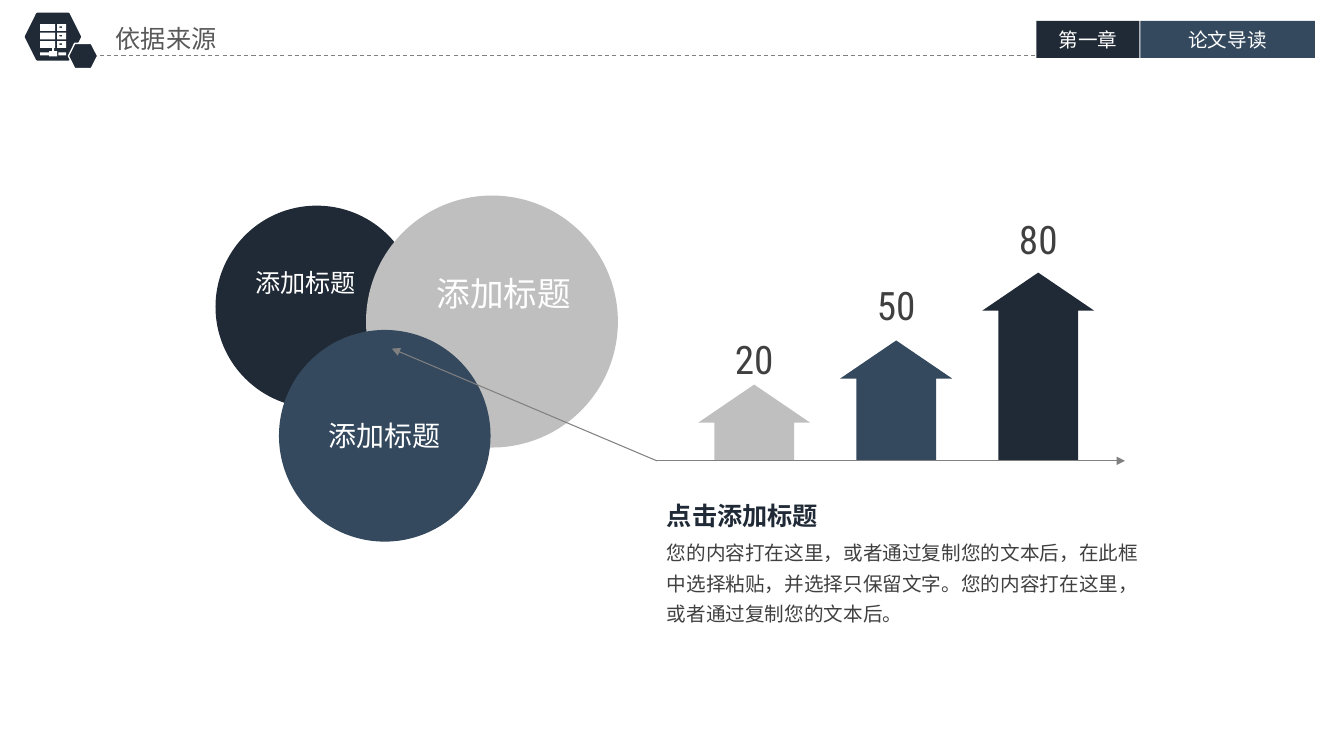
from dataclasses import dataclass

from lxml import etree
from pptx import Presentation
from pptx.dml.color import RGBColor
from pptx.enum import dml, shapes, text
from pptx.oxml import ns
from pptx.util import Pt


@dataclass(frozen=True)
class Theme:
    navy: str = "202A36"
    blue: str = "34495E"
    silver: str = "BFBFBF"
    rule: str = "808080"
    heading: str = "595959"
    ink: str = "404040"
    white: str = "FFFFFF"
    cjk: str = "Noto Sans CJK SC"
    digits: str = "Roboto Condensed"
    display: str = "TeX Gyre Adventor"
    small: int = 14
    medium: int = 18
    large: int = 20
    huge: int = 24
    figure: int = 28


THEME = Theme()
LEFT, CENTER, RIGHT = text.PP_ALIGN.LEFT, text.PP_ALIGN.CENTER, text.PP_ALIGN.RIGHT
TOP, MIDDLE = text.MSO_ANCHOR.TOP, text.MSO_ANCHOR.MIDDLE


def points(*lengths):
    return [Pt(length) for length in lengths]


def write(shape, words, size, color, font=THEME.cjk, align=CENTER, anchor=MIDDLE,
          insets=(7.2, 3.6, 7.2, 3.6), spacing=None, bold=False, wrap=True):
    frame = shape.text_frame
    frame.word_wrap = wrap
    frame.auto_size = text.MSO_AUTO_SIZE.NONE
    frame.vertical_anchor = anchor
    (frame.margin_left, frame.margin_top,
     frame.margin_right, frame.margin_bottom) = points(*insets)
    para = frame.paragraphs[0]
    para.text = words
    para.alignment = align
    if spacing:
        para.line_spacing = spacing
    para.font.size = Pt(size)
    para.font.bold = bold
    para.font.color.rgb = RGBColor.from_string(color)
    para.font.name = font
    defaults = para._p.pPr.find(ns.qn("a:defRPr"))
    etree.SubElement(defaults, ns.qn("a:ea")).set("typeface", font)


def paint(shape, fill, line=None, width=1):
    shape.shadow.inherit = False
    shape.fill.solid()
    shape.fill.fore_color.rgb = RGBColor.from_string(fill)
    if line:
        shape.line.color.rgb = RGBColor.from_string(line)
        shape.line.width = Pt(width)
    else:
        shape.line.fill.background()


def add_block(page, kind, box, fill, line=None, width=1):
    block = page.shapes.add_shape(kind, *points(*box))
    paint(block, fill, line, width)
    return block


def add_rule(page, start, end, arrow=False, dashed=False):
    rule = page.shapes.add_connector(shapes.MSO_CONNECTOR.STRAIGHT,
                                     *points(*start, *end))
    rule.line.color.rgb = RGBColor.from_string(THEME.rule)
    rule.line.width = Pt(0.75)
    if dashed:
        rule.line.dash_style = dml.MSO_LINE.DASH
    if arrow:
        line = rule.line._get_or_add_ln()
        etree.SubElement(line, ns.qn("a:tailEnd")).set("type", "triangle")
    etree.SubElement(rule._element.spPr, ns.qn("a:effectLst"))


def add_server_icon(page, left, top):
    # Each part is left, top, right, bottom; the lamps cut holes in the units
    parts = []
    for row in range(3):
        y = row * 6.1
        parts += [(0, y, 10.8, y + 4.8), (12.2, y, 18.6, y + 4.8),
                  (13.7, y + 1.6, 15.8, y + 2.7)]
    parts += [(8.6, 17, 10.1, 19.4), (6.5, 19.4, 12.2, 23),
              (0, 20.2, 6.5, 22.3), (13, 20.2, 18.6, 22.3)]
    outline = page.shapes.build_freeform(0, 0)
    for index, part in enumerate(parts):
        x1, y1, x2, y2 = points(*part)
        if index:
            outline.move_to(x1, y1)
        outline.add_line_segments([(x2, y1), (x2, y2), (x1, y2)], close=True)
    paint(outline.convert_to_shape(Pt(left), Pt(top)), THEME.white)


def add_header(page, box):
    left, top, width, height = box
    # Section title
    title = page.shapes.title
    title.left, title.top, title.width, title.height = points(left + 59, top + 3.5, 148, 27.4)
    write(title, "依据来源", THEME.medium, THEME.heading, align=LEFT,
          insets=(5, 2.9, 5, 2.9))
    # Emblem and dashed rule
    hexagon = shapes.MSO_SHAPE.HEXAGON
    add_block(page, hexagon, (left, top, 38.2, 32.4), THEME.navy, THEME.navy, 2)
    add_rule(page, (left + 47.5, top + 29.6), (left + width - 199, top + 29.6), dashed=True)
    add_block(page, hexagon, (left + 30.2, top + 21, 20.9, 18), THEME.navy, THEME.white)
    add_server_icon(page, left + 10, top + 7.2)
    # Chapter tabs, aligned to the right edge
    for offset, tab_width, fill, words in ((199, 73.6, THEME.navy, "第一章"),
                                           (124.8, 124.8, THEME.blue, "论文导读")):
        tab = add_block(page, shapes.MSO_SHAPE.RECTANGLE,
                        (left + width - offset, top + 5, tab_width, 26.4), fill)
        write(tab, words, THEME.small, THEME.white, insets=(5, 2.9, 5, 2.9))


def add_circles(page, box):
    left, top, _, _ = box
    # x, y, diameter, fill, type size, alignment, anchor, top inset
    circles = (
        (0, 7.2, 144.6, THEME.navy, THEME.medium, LEFT, TOP, 22.5),
        (107.6, 0, 180, THEME.silver, THEME.huge, RIGHT, TOP, 29),
        (45.4, 96, 151.2, THEME.blue, THEME.large, CENTER, MIDDLE, 3.6),
    )
    for x, y, diameter, fill, size, align, anchor, inset in circles:
        circle = add_block(page, shapes.MSO_SHAPE.OVAL,
                           (left + x, top + y, diameter, diameter), fill)
        write(circle, "添加标题", size, THEME.white, align=align, anchor=anchor,
              insets=(7.2, inset, 7.2, 3.6))


def add_growth_arrows(page, box):
    left, top, width, height = box
    base = top + height
    arrow_width, head, shaft = 80, 27.2, 57
    pitch = (width - arrow_width) / 2
    # value, arrow height, gap from arrow tip to middle of the label
    arrows = (("20", 54.5, 18.2, THEME.silver), ("50", 86, 25.5, THEME.blue),
              ("80", 134.5, 24, THEME.navy))
    for index, (value, rise, gap, fill) in enumerate(arrows):
        x = left + index * pitch
        arrow = add_block(page, shapes.MSO_SHAPE.UP_ARROW,
                          (x, base - rise, arrow_width, rise), fill)
        arrow.adjustments[0] = shaft / arrow_width
        arrow.adjustments[1] = head / min(arrow_width, rise)
        label = page.shapes.add_textbox(
            *points(x + arrow_width / 2 - 23, base - rise - gap - 20.5, 46, 41))
        write(label, value, THEME.figure, THEME.ink, font=THEME.digits, wrap=False)
    # Baseline and pointer to the blue circle
    corner = (left - 29.5, base)
    add_rule(page, corner, (280, 249), arrow=True)
    add_rule(page, corner, (left + width + 22, base), arrow=True)


def add_description(page, box):
    left, top, width, height = box
    heading = page.shapes.add_textbox(*points(left, top, 220, 24.5))
    write(heading, "点击添加标题", THEME.medium, THEME.navy, font=THEME.display,
          align=LEFT, anchor=TOP, spacing=0.8, bold=True)
    body = page.shapes.add_textbox(*points(left, top + 20.2, width, height - 20.2))
    write(body, "您的内容打在这里，或者通过复制您的文本后，在此框中选择粘贴，"
                "并选择只保留文字。您的内容打在这里，或者通过复制您的文本后。",
          THEME.small, THEME.ink, align=LEFT, anchor=TOP, spacing=1.3)


def main():
    deck = Presentation()
    deck.slide_width, deck.slide_height = points(960.5, 540)
    page = deck.slides.add_slide(deck.slide_layouts[5])
    add_header(page, (18.7, 10, 921, 39))
    add_circles(page, (154, 139.7, 288, 247))
    add_growth_arrows(page, (499, 150, 283, 179.2))
    add_description(page, (469.5, 357.8, 362, 93.6))
    deck.save("out.pptx")


if __name__ == "__main__":
    main()
